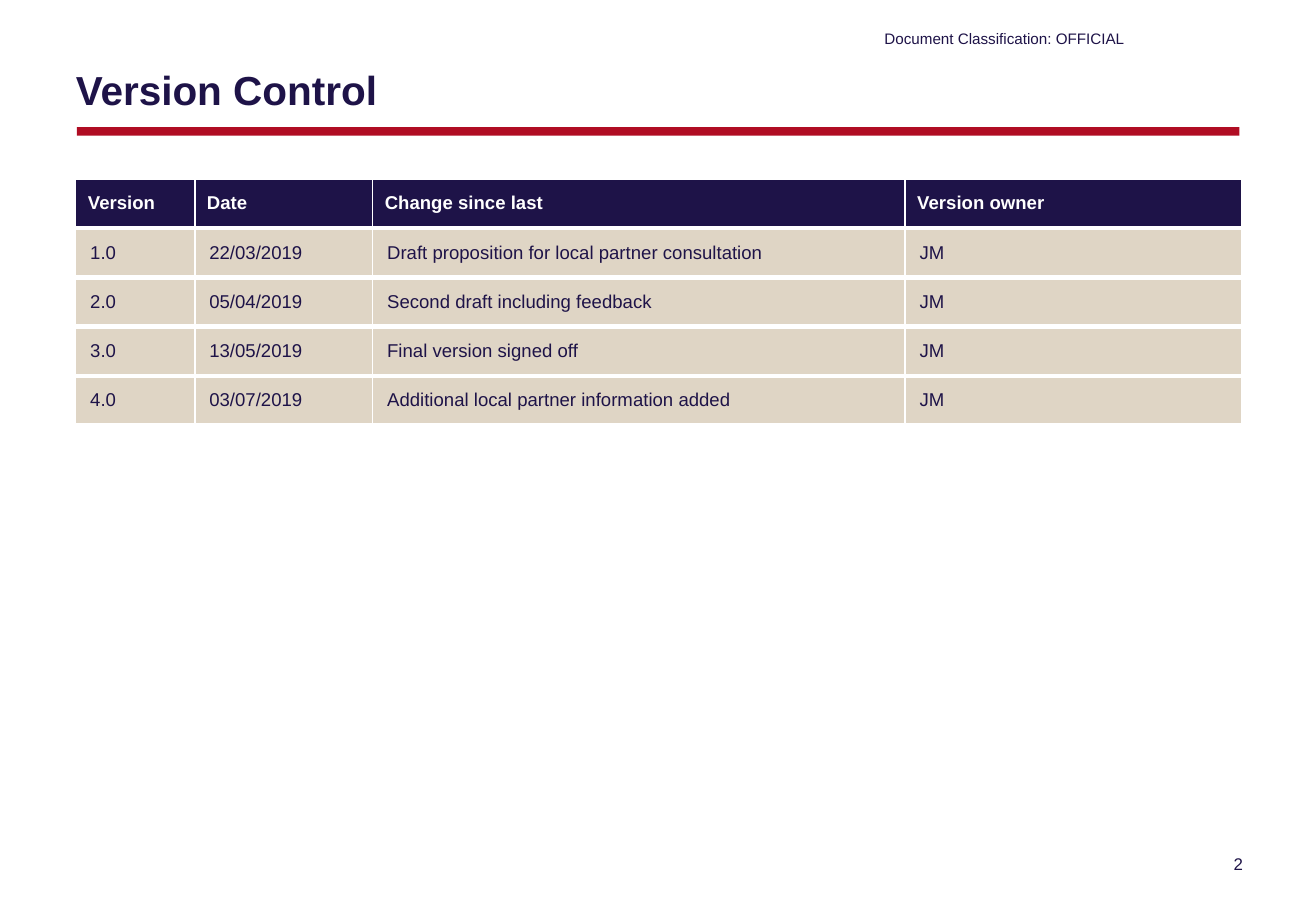
from dataclasses import dataclass

from lxml.etree import SubElement
from pptx import Presentation
from pptx.dml.color import RGBColor
from pptx.enum.shapes import MSO_SHAPE
from pptx.enum.text import MSO_ANCHOR, PP_ALIGN
from pptx.oxml.ns import qn
from pptx.slide import Slide
from pptx.table import _Cell
from pptx.text.text import _Paragraph
from pptx.util import Pt

NAVY = "1E1348"
RED = "B00D23"
SAND = "DFD5C5"
WHITE = "FFFFFF"


@dataclass(frozen=True)
class Label:
    text: str
    left: float
    top: float
    width: float
    height: float
    size: float
    bold: bool = False
    align: PP_ALIGN = PP_ALIGN.LEFT
    anchor: MSO_ANCHOR = MSO_ANCHOR.MIDDLE
    inset_x: float = 0
    inset_y: float = 0


@dataclass(frozen=True)
class RowStyle:
    fill: str
    color: str
    bold: bool
    inset: float
    top_border: float


LABELS = [
    Label("Document Classification: OFFICIAL", 524.2, 17.3, 144.7, 11.5, 9),
    Label("Version Control", 44.9, 27.4, 694.8, 51.1, 24, bold=True, inset_y=3.6),
    Label("2", 707, 502.6, 36.7, 17.3, 10, align=PP_ALIGN.RIGHT,
          anchor=MSO_ANCHOR.TOP, inset_x=7.2, inset_y=3.6),
]
HEADER_STYLE = RowStyle(NAVY, WHITE, True, 7.2, 1)
VERSION_STYLE = RowStyle(SAND, NAVY, False, 8.6, 3)
COLUMN_WIDTHS = [70.6, 105.4, 315.6, 199.4]
ROW_HEIGHT = 29.2
VERSIONS = [
    ("Version", "Date", "Change since last", "Version owner"),
    ("1.0", "22/03/2019", "Draft proposition for local partner consultation", "JM"),
    ("2.0", "05/04/2019", "Second draft including feedback", "JM"),
    ("3.0", "13/05/2019", "Final version signed off", "JM"),
    ("4.0", "03/07/2019", "Additional local partner information added", "JM"),
]


def rgb(color: str) -> RGBColor:
    return RGBColor.from_string(color)


def add_text(paragraph: _Paragraph, text: str, size: float, color: str, bold: bool) -> None:
    run = paragraph.add_run()
    run.text = text
    run.font.name = "Arial"
    run.font.size = Pt(size)
    run.font.bold = bold
    run.font.color.rgb = rgb(color)


def add_label(slide: Slide, label: Label) -> None:
    box = slide.shapes.add_textbox(
        Pt(label.left), Pt(label.top), Pt(label.width), Pt(label.height))
    frame = box.text_frame
    frame.word_wrap = True
    frame.vertical_anchor = label.anchor
    frame.margin_left = frame.margin_right = Pt(label.inset_x)
    frame.margin_top = frame.margin_bottom = Pt(label.inset_y)
    paragraph = frame.paragraphs[0]
    paragraph.alignment = label.align
    add_text(paragraph, label.text, label.size, NAVY, label.bold)


def add_title_rule(slide: Slide) -> None:
    rule = slide.shapes.add_shape(
        MSO_SHAPE.RECTANGLE, Pt(45.6), Pt(75.4), Pt(689), Pt(5))
    rule.shadow.inherit = False
    rule.fill.solid()
    rule.fill.fore_color.rgb = rgb(RED)
    rule.line.fill.background()


def set_borders(cell: _Cell, top: float) -> None:
    properties = cell._tc.get_or_add_tcPr()
    widths = {"a:lnL": 1, "a:lnR": 1, "a:lnT": top, "a:lnB": 3}
    for tag, width in widths.items():
        border = SubElement(properties, qn(tag), w=str(Pt(width)))
        fill = SubElement(border, qn("a:solidFill"))
        SubElement(fill, qn("a:srgbClr"), val=WHITE)


def fill_cell(cell: _Cell, text: str, style: RowStyle) -> None:
    set_borders(cell, style.top_border)
    cell.fill.solid()
    cell.fill.fore_color.rgb = rgb(style.fill)
    cell.vertical_anchor = MSO_ANCHOR.MIDDLE
    cell.margin_left = cell.margin_right = Pt(style.inset)
    cell.margin_top = cell.margin_bottom = Pt(3.6)
    add_text(cell.text_frame.paragraphs[0], text, 11, style.color, style.bold)


def add_version_table(slide: Slide) -> None:
    table = slide.shapes.add_table(
        len(VERSIONS), len(COLUMN_WIDTHS), Pt(44.9), Pt(106),
        Pt(sum(COLUMN_WIDTHS)), Pt(ROW_HEIGHT * len(VERSIONS))).table
    table.horz_banding = False
    for column, width in zip(table.columns, COLUMN_WIDTHS):
        column.width = Pt(width)
    for index, (row, texts) in enumerate(zip(table.rows, VERSIONS)):
        row.height = Pt(ROW_HEIGHT)
        style = VERSION_STYLE if index else HEADER_STYLE
        for cell, text in zip(row.cells, texts):
            fill_cell(cell, text, style)


def main() -> None:
    presentation = Presentation()
    presentation.slide_width = Pt(780)
    presentation.slide_height = Pt(540)
    slide = presentation.slides.add_slide(presentation.slide_layouts[6])
    add_title_rule(slide)
    for label in LABELS:
        add_label(slide, label)
    add_version_table(slide)
    presentation.save("out.pptx")


if __name__ == "__main__":
    main()
